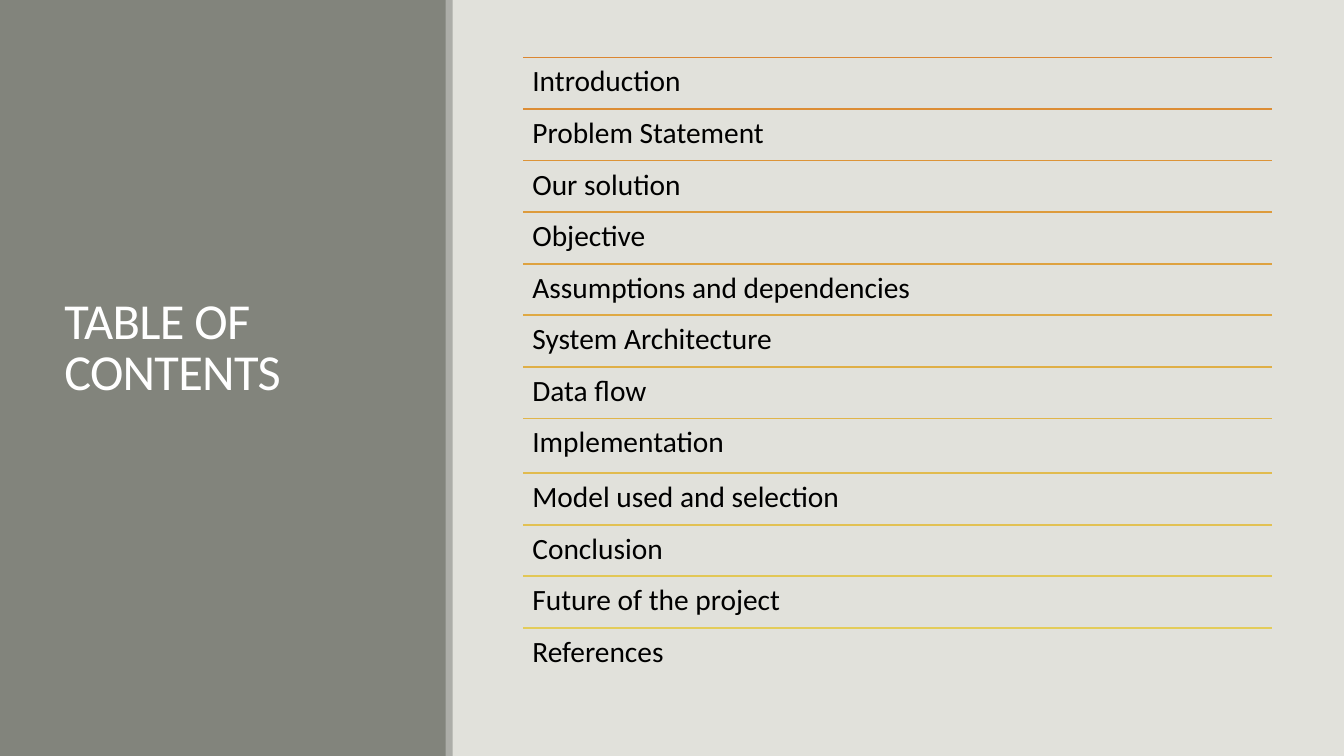
from dataclasses import dataclass

import pptx
import pptx.dml.color
import pptx.enum.shapes
import pptx.enum.text
import pptx.oxml.ns
import pptx.util
from lxml import etree

PX = 9144  # EMU per px, 100 px to the inch
SLIDE_WIDTH, SLIDE_HEIGHT = 1333, 750


@dataclass(frozen=True)
class Theme:
    font: str = "Calibri"
    background: str = "E1E1DB"
    panel: str = "82847C"
    panel_edge: str = "ACADA8"
    title: str = "FFFFFF"
    item: str = "000000"
    title_size: int = 36
    item_size: int = 21
    rule_width: float = 1.25


THEME = Theme()

# Each entry with the colour of the rule above it
CONTENTS = [
    ("Introduction", "DB8631"),
    ("Problem Statement", "DC8D35"),
    ("Our solution", "DC9438"),
    ("Objective", "DD9B3C"),
    ("Assumptions and dependencies", "DEA240"),
    ("System Architecture", "DFA944"),
    ("Data flow", "DFAF47"),
    ("Implementation", "E0B54B"),
    ("Model used and selection", "E1BB4F"),
    ("Conclusion", "E2C153"),
    ("Future of the project", "E2C756"),
    ("References", "E3CC5A"),
]
TALL_ENTRY, TALL_EXTRA = "Implementation", 3


def emu(*lengths):
    return [round(length * PX) for length in lengths]


def rgb(colour):
    return pptx.dml.color.RGBColor.from_string(colour)


def add_block(slide, box, colour):
    shape = slide.shapes.add_shape(
        pptx.enum.shapes.MSO_SHAPE.RECTANGLE, *emu(*box))
    shape.shadow.inherit = False
    shape.fill.solid()
    shape.fill.fore_color.rgb = rgb(colour)
    shape.line.fill.background()


def add_text(slide, box, text, size, colour, insets, line_spacing):
    text_frame = slide.shapes.add_textbox(*emu(*box)).text_frame
    text_frame.word_wrap = True
    (text_frame.margin_left, text_frame.margin_top,
     text_frame.margin_right, text_frame.margin_bottom) = emu(*insets)
    text_frame.text = text
    paragraph = text_frame.paragraphs[0]
    paragraph.line_spacing = line_spacing
    font = paragraph.runs[0].font
    font.name = THEME.font
    font.size = pptx.util.Pt(size)
    font.color.rgb = rgb(colour)
    return text_frame


def add_rule(slide, left, top, width, colour):
    rule = slide.shapes.add_connector(
        pptx.enum.shapes.MSO_CONNECTOR.STRAIGHT,
        *emu(left, top, left + width, top))
    rule.line.color.rgb = rgb(colour)
    rule.line.width = pptx.util.Pt(THEME.rule_width)
    etree.SubElement(rule.element.spPr, pptx.oxml.ns.qn("a:effectLst"))


def add_title_panel(slide, box):
    left, top, width, height = box
    add_block(slide, box, THEME.panel)
    add_block(slide, (left + width - 1, top, 7, height), THEME.panel_edge)
    # The deep bottom inset lifts the title above the middle
    text_frame = add_text(
        slide, (left + 54, top + 57, width - 106, height - 119),
        "TABLE OF CONTENTS", THEME.title_size, THEME.title,
        (10, 5, 10, 56), 0.85)
    text_frame.vertical_anchor = pptx.enum.text.MSO_ANCHOR.MIDDLE
    run = text_frame.paragraphs[0].runs[0]
    run.font._element.set("spc", "-50")


def add_contents_list(slide, box):
    left, top, width, height = box
    row_height = (height - TALL_EXTRA) / len(CONTENTS)
    for entry, colour in CONTENTS:
        entry_height = row_height + (TALL_EXTRA if entry == TALL_ENTRY else 0)
        add_rule(slide, left, top, width, colour)
        add_text(slide, (left, top, width, entry_height), entry,
                 THEME.item_size, THEME.item, (9, 9, 9, 9), 0.9)
        top += entry_height


def main():
    presentation = pptx.Presentation()
    presentation.slide_width, presentation.slide_height = emu(
        SLIDE_WIDTH, SLIDE_HEIGHT)
    slide = presentation.slides.add_slide(presentation.slide_layouts[6])
    slide.background.fill.solid()
    slide.background.fill.fore_color.rgb = rgb(THEME.background)

    # Title panel on the left, contents on the right
    add_title_panel(slide, (0, 0, 443, SLIDE_HEIGHT))
    add_contents_list(slide, (519, 57, 743, 617))

    presentation.save("out.pptx")


if __name__ == "__main__":
    main()
